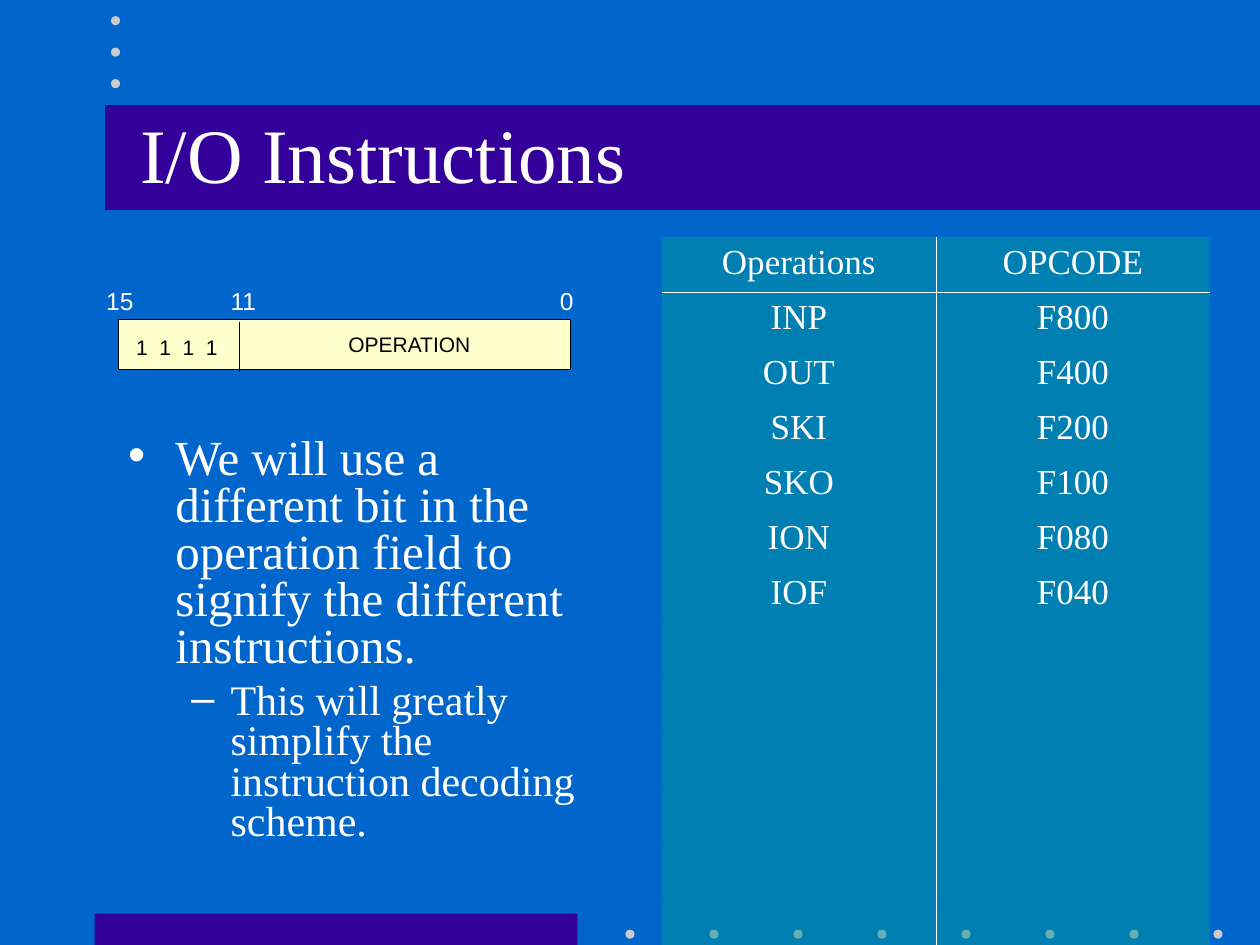
from dataclasses import dataclass

from lxml import etree
from pptx import Presentation
from pptx.dml.color import RGBColor
from pptx.enum import shapes, text
from pptx.oxml import ns
from pptx.util import Pt

COLORS = {
    "background": "0066CC", "bar": "330099", "dot": "CBCBCB", "cell": "009999",
    "field": "FFFFCC", "white": "FFFFFF", "black": "000000",
}
SERIF, SANS = "Times New Roman", "Arial"
NO_GRID_STYLE = "{2D5ABB26-0587-4C30-8999-92F81FD0307C}"


@dataclass
class Box:
    left: float
    top: float
    width: float
    height: float

    def lengths(self) -> tuple:
        return Pt(self.left), Pt(self.top), Pt(self.width), Pt(self.height)


@dataclass
class Label:
    words: str
    box: Box
    size: float
    color: str
    wrap: bool = False
    tracking: int = 0  # hundredths of a point


@dataclass
class Bullet:
    words: str
    mark: str
    size: float
    margin: float
    hang: float
    before: float
    level: int


def rgb(name: str) -> RGBColor:
    return RGBColor.from_string(COLORS[name])


def sub(parent, tag: str, **attrs):
    return etree.SubElement(parent, ns.qn(tag), attrs)


def add_run(p, words: str, size: float, font: str, color: str):
    r = p.add_run()
    r.text = words
    r.font.size, r.font.name = Pt(size), font
    r.font.color.rgb = rgb(color)
    return r


def draw_shape(slide, kind, box: Box, fill: str, line: str = "") -> None:
    sp = slide.shapes.add_shape(kind, *box.lengths())
    sp.shadow.inherit = False
    sp.fill.solid()
    sp.fill.fore_color.rgb = rgb(fill)
    if line:
        sp.line.color.rgb, sp.line.width = rgb(line), Pt(0.75)
    else:
        sp.line.fill.background()


def draw_label(slide, label: Label) -> None:
    tf = slide.shapes.add_textbox(*label.box.lengths()).text_frame
    tf.word_wrap = label.wrap
    tf.auto_size = text.MSO_AUTO_SIZE.SHAPE_TO_FIT_TEXT
    r = add_run(tf.paragraphs[0], label.words, label.size, SANS, label.color)
    if label.tracking:
        r.font._element.set("spc", str(label.tracking))


def draw_bullets(slide, box: Box, bullets: list[Bullet]) -> None:
    tf = slide.shapes.add_textbox(*box.lengths()).text_frame
    tf.word_wrap = True
    for i, b in enumerate(bullets):
        p = tf.add_paragraph() if i else tf.paragraphs[0]
        pPr = p._p.get_or_add_pPr()
        pPr.set("marL", str(Pt(b.margin)))
        pPr.set("indent", str(Pt(-b.hang)))
        sub(sub(pPr, "a:buClr"), "a:srgbClr", val=COLORS["white"])
        sub(pPr, "a:buFont", typeface=SANS)
        sub(pPr, "a:buChar", char=b.mark)
        p.level, p.line_spacing = b.level, 0.8
        if i:
            p.space_before = Pt(b.before)
        add_run(p, b.words, b.size, SERIF, "white")


def style_cell(cell, sides: str) -> None:
    cell.fill.solid()
    cell.fill.fore_color.rgb = rgb("cell")
    tcPr = cell._tc.get_or_add_tcPr()
    sub(tcPr.find(".//" + ns.qn("a:srgbClr")), "a:alpha", val="50000")
    for i, side in enumerate("LRTB"):
        ln = sub(tcPr, f"a:ln{side}", w=str(Pt(0.45)))
        if side in sides:
            sub(sub(ln, "a:solidFill"), "a:srgbClr", val=COLORS["white"])
        else:
            sub(ln, "a:noFill")
        tcPr.insert(i, ln)  # borders stand before the fill


def draw_table(slide, box: Box, rows: list[tuple], count: int) -> None:
    frame = slide.shapes.add_table(count, 2, *box.lengths())
    table = frame.table
    table.horz_banding = table.first_row = False
    table._tbl.tblPr.find(ns.qn("a:tableStyleId")).text = NO_GRID_STYLE
    for col in table.columns:
        col.width = Pt(box.width / 2)
    for y, row in enumerate(table.rows):
        row.height = Pt(box.height / count)
        for x, cell in enumerate(row.cells):
            style_cell(cell, "RL"[x] + {0: "B", 1: "T"}.get(y, ""))
            if y < len(rows):
                p = cell.text_frame.paragraphs[0]
                p.alignment = text.PP_ALIGN.CENTER
                add_run(p, rows[y][x], 20, SERIF, "white")


def main() -> None:
    prs = Presentation()
    prs.slide_width, prs.slide_height = Pt(720), Pt(540)
    slide = prs.slides.add_slide(prs.slide_layouts[5])
    slide.background.fill.solid()
    slide.background.fill.fore_color.rgb = rgb("background")
    rect, oval = shapes.MSO_SHAPE.RECTANGLE, shapes.MSO_SHAPE.OVAL

    # Bars and dots
    draw_shape(slide, rect, Box(54, 522, 276, 18), "bar")
    draw_shape(slide, rect, Box(60, 60, 660, 60), "bar")
    dots = [(357.4 + 48 * i, 531.2) for i in range(8)]
    dots += [(63.4, 9.2 + 18 * i) for i in range(3)]
    for left, top in dots:
        draw_shape(slide, oval, Box(left, top, 5.2, 5.2), "dot")

    # Title, brought in front of its bar
    title = slide.shapes.title
    title.left, title.top, title.width, title.height = Box(60, 54, 318, 66).lengths()
    tf = title.text_frame
    tf.vertical_anchor = text.MSO_ANCHOR.MIDDLE
    tf.paragraphs[0].alignment = text.PP_ALIGN.CENTER
    add_run(tf.paragraphs[0], "I/O Instructions", 44, SERIF, "white")
    slide.shapes._spTree.append(title._element)

    # Explanation
    draw_bullets(slide, Box(66.2, 246.4, 294, 275), [
        Bullet("We will use a different bit in the operation field to signify "
               "the different instructions.", "•", 28, 27, 27, 7, 0),
        Bullet("This will greatly simplify the instruction decoding scheme.",
               "–", 24, 58.5, 22.5, 6, 1),
    ])

    # Opcode table
    draw_table(slide, Box(378.2, 135.4, 313.2, 408.6), [
        ("Operations", "OPCODE"), ("INP", "F800"), ("OUT", "F400"), ("SKI", "F200"),
        ("SKO", "F100"), ("ION", "F080"), ("IOF", "F040"),
    ], 13)

    # Instruction format
    draw_shape(slide, rect, Box(67.7, 182.4, 258.4, 28.8), "field", "black")
    divider = slide.shapes.add_connector(
        shapes.MSO_CONNECTOR.STRAIGHT, Pt(136.8), Pt(184.2), Pt(136.8), Pt(212.4))
    divider.line.color.rgb, divider.line.width = rgb("black"), Pt(0.75)
    sub(divider._element.spPr, "a:effectLst")
    for label in [
        Label("1 1 1 1", Box(70.7, 187.5, 66, 21.6), 12, "black", True, 167),
        Label("OPERATION", Box(192, 185.8, 101.5, 21.6), 12, "black", True),
        Label("0", Box(312.8, 160.2, 22.4, 24.5), 14, "white"),
        Label("11", Box(124.7, 160.2, 30.4, 24.5), 14, "white"),
        Label("15", Box(53.6, 160.2, 30.4, 24.5), 14, "white"),
    ]:
        draw_label(slide, label)

    prs.save("out.pptx")


if __name__ == "__main__":
    main()
